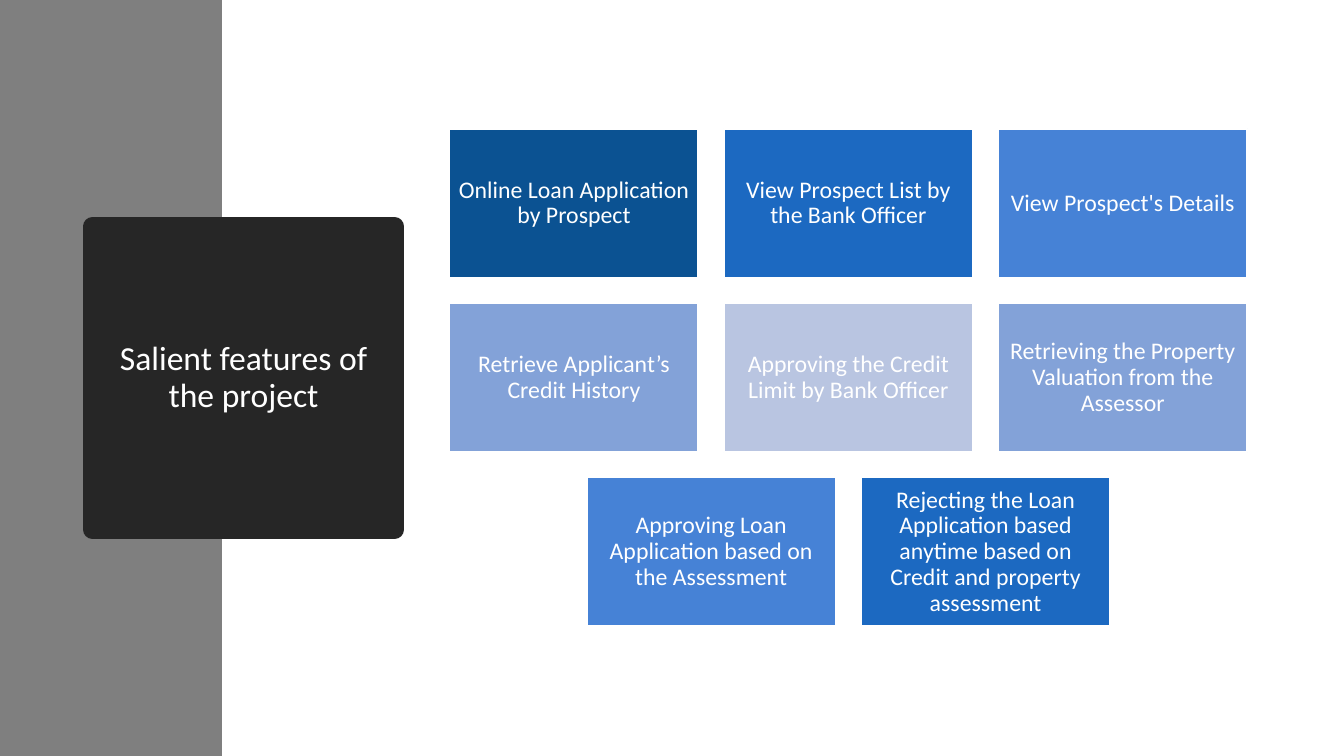
from dataclasses import dataclass

from lxml.etree import SubElement
from pptx import Presentation
from pptx.dml.color import RGBColor as RGB
from pptx.enum.shapes import MSO_SHAPE as SHAPE
from pptx.enum.text import MSO_ANCHOR as ANCHOR, MSO_AUTO_SIZE as AUTO, PP_ALIGN as ALIGN
from pptx.oxml.ns import qn
from pptx.util import Pt

# Content: rows of (text, shade)
TITLE = "Salient features of the project"
ROWS = [
    [("Online Loan Application by Prospect", "navy"),
     ("View Prospect List by the Bank Officer", "blue"),
     ("View Prospect's Details", "sky")],
    [("Retrieve Applicant’s Credit History", "mist"),
     ("Approving the Credit Limit by Bank Officer", "pale"),
     ("Retrieving the Property Valuation from the Assessor", "mist")],
    [("Approving Loan Application based on the Assessment", "sky"),
     ("Rejecting the Loan Application based anytime based on Credit and property assessment",
      "blue")],
]


@dataclass
class Theme:
    font: str = "Calibri"
    title_size: int = 24
    card_size: int = 17
    white: str = "FFFFFF"
    band: str = "7F7F7F"
    dark: str = "262626"
    navy: str = "0B5292"
    blue: str = "1C69C1"
    sky: str = "4682D6"
    mist: str = "83A2D8"
    pale: str = "B9C5E1"


theme = Theme()

# Layout in points
SLIDE_W, SLIDE_H = 960, 540
BAND_W = 158.5
TITLE_X, TITLE_Y, TITLE_SIDE, TITLE_LINE = 66, 162, 216, 13.75
CARD_W, CARD_H, GAP = 178, 106.5, 18
CARDS_CENTER, CARDS_TOP = 606, 92
CARD_INSET, CARD_LINE = 5, 1.5


def paint(sp, fill, line=None, width=0):
    sp.fill.solid()
    sp.fill.fore_color.rgb = RGB.from_string(fill)
    if line:
        sp.line.color.rgb = RGB.from_string(line)
        sp.line.width = Pt(width)
    else:
        sp.line.fill.background()


def write(sp, text, size):
    tf = sp.text_frame
    tf.text = text
    tf.word_wrap = True
    tf.auto_size = AUTO.NONE
    tf.vertical_anchor = ANCHOR.MIDDLE
    p = tf.paragraphs[0]
    p.alignment = ALIGN.CENTER
    p.line_spacing = 0.9
    font = p.runs[0].font
    font.name, font.size = theme.font, Pt(size)
    font.color.rgb = RGB.from_string(theme.white)


def add_rect(s, x, y, w, h):
    sp = s.shapes.add_shape(SHAPE.RECTANGLE, Pt(x), Pt(y), Pt(w), Pt(h))
    sp.shadow.inherit = False
    return sp


def add_card(s, x, y, text, shade):
    sp = add_rect(s, x, y, CARD_W, CARD_H)
    paint(sp, getattr(theme, shade), theme.white, CARD_LINE)
    write(sp, text, theme.card_size)
    tf = sp.text_frame
    tf.margin_left = tf.margin_right = tf.margin_top = tf.margin_bottom = Pt(CARD_INSET)


def main():
    prs = Presentation()
    prs.slide_width, prs.slide_height = Pt(SLIDE_W), Pt(SLIDE_H)
    s = prs.slides.add_slide(prs.slide_layouts[5])

    # Title block with a thick, round-cornered outline
    title = s.shapes.title
    title.left, title.top = Pt(TITLE_X), Pt(TITLE_Y)
    title.width = title.height = Pt(TITLE_SIDE)
    paint(title, theme.dark, theme.dark, TITLE_LINE)
    SubElement(title.element.spPr.find(qn("a:ln")), qn("a:round"))
    write(title, TITLE, theme.title_size)

    # Side band, behind the title
    band = add_rect(s, 0, 0, BAND_W, SLIDE_H)
    paint(band, theme.band)
    title.element.addprevious(band.element)

    # Feature cards, each row centred
    for i, row in enumerate(ROWS):
        row_w = len(row) * (CARD_W + GAP) - GAP
        y = CARDS_TOP + i * (CARD_H + GAP)
        for j, (text, shade) in enumerate(row):
            x = CARDS_CENTER - row_w / 2 + j * (CARD_W + GAP)
            add_card(s, x, y, text, shade)

    prs.save("out.pptx")


if __name__ == "__main__":
    main()
